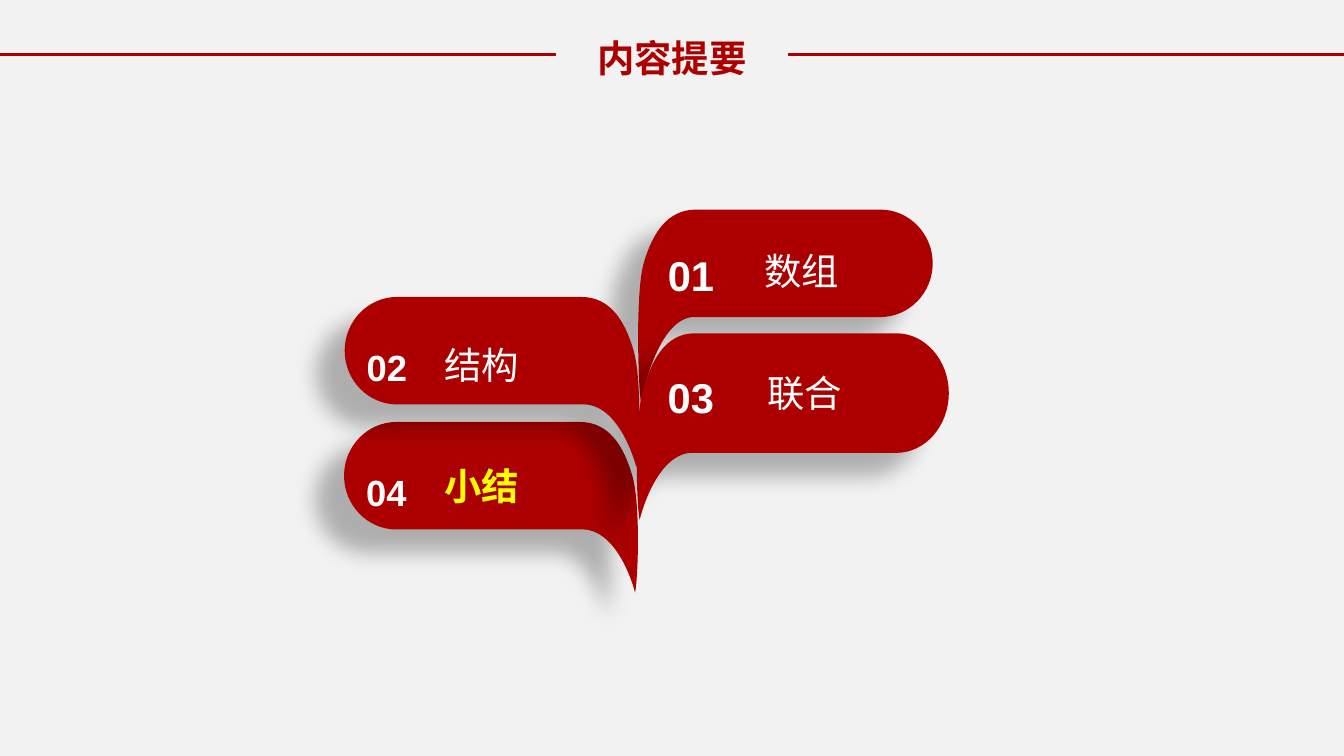
from lxml import etree
from pptx import Presentation
from pptx.dml.color import RGBColor
from pptx.enum.shapes import MSO_CONNECTOR
from pptx.enum.text import MSO_AUTO_SIZE, PP_ALIGN
from pptx.oxml.ns import qn
from pptx.util import Pt

EMU_PER_PX = 4572  # 200 px to the inch
STRAIGHT = MSO_CONNECTOR.STRAIGHT
FIT_SHAPE = MSO_AUTO_SIZE.SHAPE_TO_FIT_TEXT
LEFT, CENTER = PP_ALIGN.LEFT, PP_ALIGN.CENTER

RED = RGBColor(0xAC, 0x00, 0x00)
WHITE = RGBColor(0xFF, 0xFF, 0xFF)
YELLOW = RGBColor(0xFF, 0xFF, 0x00)
PALE = RGBColor(0xF2, 0xF2, 0xF2)
LATIN, CJK = "Arial", "Noto Sans CJK SC"

# spine x, direction, top, length, height, tail; back to front
LEAVES = [
    (958, 1, 312, 430, 160, 126),
    (941, -1, 628, 429, 160, 94),
    (956, 1, 496, 456, 178, 100),
    (943, -1, 442, 430, 160, 94),
]

# number, its box, its size, topic, its box, its colour
ITEMS = [
    ("01", (974, 340, 136, 118), 22.3, "数组", (1118, 340, 192, 98), WHITE),
    ("02", (526, 484, 136, 106), 19.5, "结构", (642, 479, 310, 98), WHITE),
    ("03", (974, 521, 154, 118), 22.3, "联合", (1122, 521, 240, 98), WHITE),
    ("04", (525, 670, 136, 106), 19.5, "小结", (642, 660, 158, 98), YELLOW),
]


def emu(px):
    return round(px * EMU_PER_PX)


class Deck:
    def __init__(self, width, height):
        self.prs = Presentation()
        self.prs.slide_width, self.prs.slide_height = emu(width), emu(height)
        self.s = self.prs.slides.add_slide(self.prs.slide_layouts[6])
        fill = self.s.background.fill
        fill.solid()
        fill.fore_color.rgb = PALE

    def text(self, text, box, size, color, bold=False, font=LATIN,
             align=LEFT, spacing=1.3):
        sp = self.s.shapes.add_textbox(*map(emu, box))
        tf = sp.text_frame
        tf.word_wrap = True
        tf.auto_size = FIT_SHAPE
        tf.text = text
        p = tf.paragraphs[0]
        p.alignment, p.line_spacing = align, spacing
        r = p.runs[0]
        r.font.size, r.font.bold, r.font.name = Pt(size), bold, font
        r.font.color.rgb = color
        ea = etree.SubElement(r.font._element, qn("a:ea"))
        ea.set("typeface", CJK)

    def line(self, x1, x2, y):
        sp = self.s.shapes.add_connector(STRAIGHT, *map(emu, (x1, y, x2, y)))
        sp.line.color.rgb = RED
        sp.line.width = Pt(2)
        etree.SubElement(sp._element.spPr, qn("a:effectLst"))

    def leaf(self, spine, direction, top, length, height, tail):
        """A rounded tab whose inner side runs down into a pointed tail."""
        neck, shoulder = 78, length - 78
        mid, bottom = height / 2, height
        tip = bottom + tail
        # each step ends in its last point; the ones before it are handles
        steps = [
            [(0, mid)],
            [(13, 0.22 * height), (35, 0), (neck, 0)],
            [(shoulder, 0)],
            [(shoulder + 43, 0), (length, 0.45 * mid), (length, mid)],
            [(length, 1.55 * mid), (shoulder + 43, bottom),
             (shoulder, bottom)],
            [(neck, bottom)],
            [(21, bottom - 4), (-4, tip - 2), (-4, tip)],
            [(-8, tip - 14), (-13, 0.78 * height), (0, mid)],
        ]
        steps = [[(emu(spine + direction * x), emu(top + y)) for x, y in step]
                 for step in steps]
        ends = [step[-1] for step in steps]
        builder = self.s.shapes.build_freeform(*ends[0])
        builder.add_line_segments(ends[1:], close=True)
        sp = builder.convert_to_shape()
        self.bend(sp, steps[1:])
        sp.fill.solid()
        sp.fill.fore_color.rgb = RED
        sp.line.fill.background()
        self.cast_shadow(sp)

    def bend(self, sp, steps):
        """Turn each straight segment that has handles into a cubic curve."""
        segments = list(sp._element.iter(qn("a:lnTo")))
        for segment, step in zip(segments, steps):
            if len(step) == 1:
                continue
            curve = etree.Element(qn("a:cubicBezTo"))
            for x, y in step:
                etree.SubElement(curve, qn("a:pt"), x=str(x - sp.left),
                                 y=str(y - sp.top))
            segment.getparent().replace(segment, curve)

    def cast_shadow(self, sp):
        sp.shadow.inherit = False
        effects = sp._element.spPr.find(qn("a:effectLst"))
        shadow = etree.SubElement(
            effects, qn("a:outerShdw"), blurRad=str(Pt(11.8)),
            dist=str(Pt(19.7)), dir=str(141 * 60000), algn="ctr",
            rotWithShape="0")
        color = etree.SubElement(shadow, qn("a:srgbClr"), val="000000")
        etree.SubElement(color, qn("a:alpha"), val="28000")


def main():
    deck = Deck(2000, 1125)
    for leaf in LEAVES:
        deck.leaf(*leaf)
    for number, number_box, size, topic, topic_box, color in ITEMS:
        deck.text(number, number_box, size, WHITE, bold=True)
        deck.text(topic, topic_box, 20, color, bold=color == YELLOW)
    deck.line(0, 827, 81)
    deck.line(1173, 2000, 81)
    deck.text("内容提要", (827, 42, 346, 88), 20, RED, bold=True, font=CJK,
              align=CENTER, spacing=1.0)
    deck.prs.save("out.pptx")


if __name__ == "__main__":
    main()
